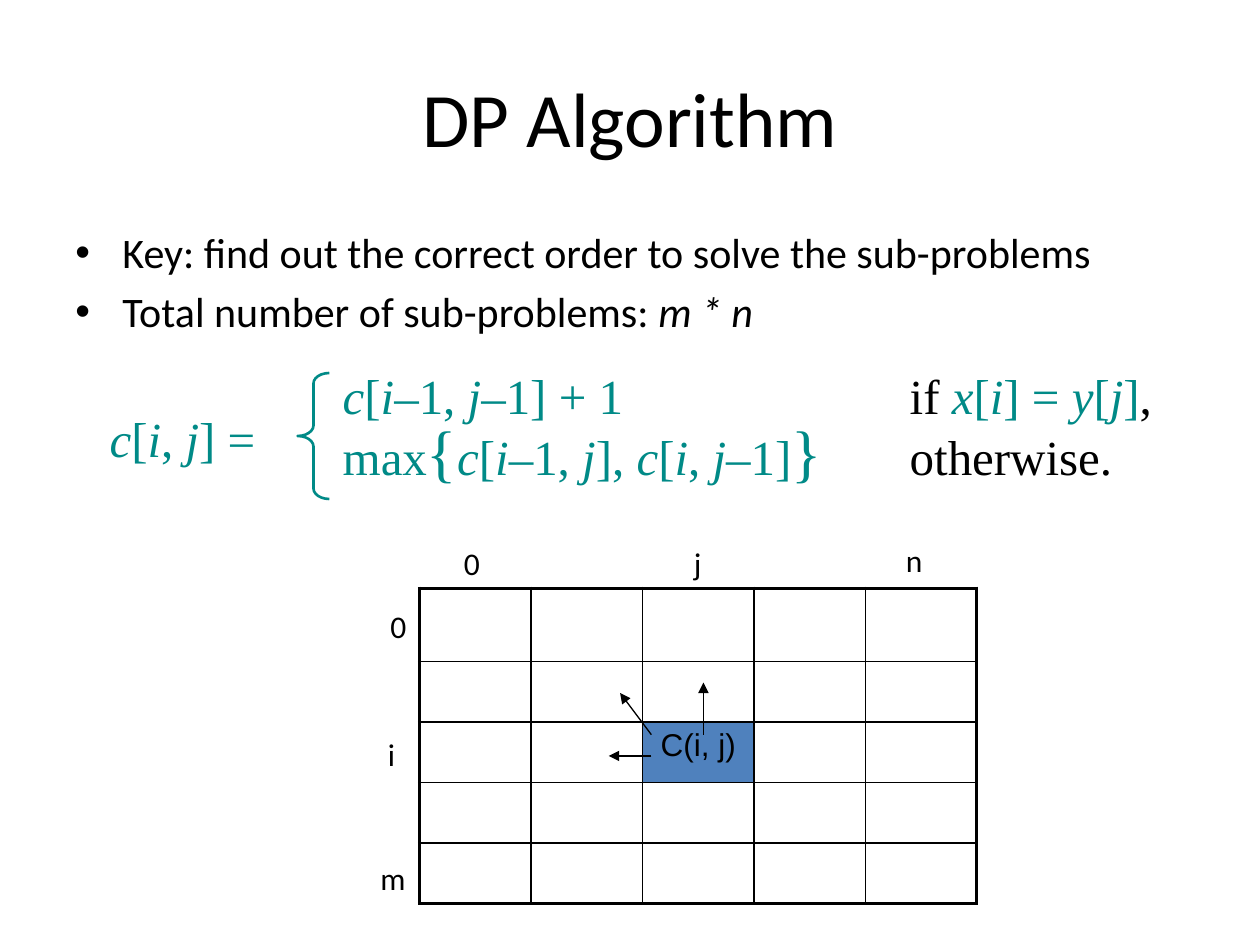
from dataclasses import dataclass
from itertools import groupby

from lxml import etree
from pptx import Presentation
from pptx import util as u
from pptx.dml.color import RGBColor
from pptx.enum import shapes, text
from pptx.oxml.ns import qn


@dataclass(frozen=True)
class Theme:
    ink: str = "000000"
    teal: str = "008A87"
    blue: str = "4F81BD"
    sans: str = "Calibri"
    serif: str = "Times New Roman"
    cell: str = "Arial"
    title: int = 44
    body: int = 24
    math: int = 28
    brace: int = 36
    label: int = 18


T = Theme()


def node(parent, tag, **attrs):
    """Append an XML child with the given attributes."""
    return etree.SubElement(parent, qn(tag), {k: str(v) for k, v in attrs.items()})


def add_run(para, words, font, size, color=T.ink, slant=False):
    run = para.add_run()
    run.text = words
    run.font.name, run.font.size = font, u.Pt(size)
    run.font.italic = slant
    run.font.color.rgb = RGBColor.from_string(color)


def add_box(parent, box, wrap=False):
    frame = parent.add_textbox(*map(u.Cm, box)).text_frame
    frame.word_wrap = wrap
    return frame


def add_math(para, words):
    """Teal formula text, with its variables in italics."""
    for slant, part in groupby(words, key=lambda ch: ch in "cijxy"):
        add_run(para, "".join(part), T.serif, T.math, T.teal, slant)


def add_title(slide, box):
    shape = slide.shapes.title
    shape.left, shape.top, shape.width, shape.height = map(u.Cm, box)
    frame = shape.text_frame
    frame.vertical_anchor = text.MSO_ANCHOR.MIDDLE
    para = frame.paragraphs[0]
    para.alignment = text.PP_ALIGN.CENTER
    add_run(para, "DP Algorithm", T.sans, T.title)


def add_points(slide, box):
    frame = add_box(slide.shapes, box, wrap=True)
    points = [
        [("Key: find out the correct order to solve the sub-problems", False)],
        [("Total number of sub-problems:", False), (" m * n", True)],
    ]
    for n, runs in enumerate(points):
        para = frame.add_paragraph() if n else frame.paragraphs[0]
        para.space_before = u.Pt(0.2 * T.body)
        props = para._p.get_or_add_pPr()
        props.set("marL", str(u.Cm(0.95)))
        props.set("indent", str(-u.Cm(0.95)))
        node(props, "a:buFont", typeface="Arial")
        node(props, "a:buChar", char="•")
        for words, slant in runs:
            add_run(para, words, T.sans, T.body, slant=slant)


def add_formula(slide, box):
    x, y, w, h = box
    group = slide.shapes.add_group_shape().shapes

    # Left-hand side
    left = add_box(group, (x, y + 0.69, 3.45, 1.45))
    add_math(left.paragraphs[0], "c[i, j] =")

    # Both cases, with the conditions on a tab stop
    cases = add_box(group, (x + 4.7, y, w - 4.7, h))
    first, second = cases.paragraphs[0], cases.add_paragraph()
    for para in (first, second):
        para.line_spacing = 0.85
        tabs = node(para._p.get_or_add_pPr(), "a:tabLst")
        node(tabs, "a:tab", pos=u.Cm(11.43), algn="l")
    add_math(first, "c[i–1, j–1] + 1")
    add_run(first, "\tif ", T.serif, T.math)
    add_math(first, "x[i] = y[j]")
    add_run(first, ",", T.serif, T.math)
    add_run(second, "max", T.serif, T.math, T.teal)
    add_run(second, "{", T.serif, T.brace, T.teal)
    add_math(second, "c[i–1, j], c[i, j–1]")
    add_run(second, "}", T.serif, T.brace, T.teal)
    add_run(second, "\totherwise.", T.serif, T.math)

    # Brace
    brace = group.add_shape(shapes.MSO_SHAPE.LEFT_BRACE,
                            *map(u.Cm, (x + 4.04, y + 0.1, 0.64, 2.54)))
    brace.adjustments[0], brace.adjustments[1] = 0.33, 0.5
    brace.shadow.inherit = False
    brace.fill.background()
    brace.line.color.rgb = RGBColor.from_string(T.teal)
    brace.line.width = u.Pt(1.5)


def add_edges(cell, outer):
    """Draw four cell borders, thicker on the outer sides."""
    props = cell._tc.get_or_add_tcPr()
    for side in "LRTB":
        width = u.Pt(2.25 if side in outer else 1)
        edge = node(props, f"a:ln{side}", w=width)
        node(node(edge, "a:solidFill"), "a:srgbClr", val=T.ink)


def add_grid(slide, box, size=5):
    x, y, w, h = box
    table = slide.shapes.add_table(size, size, *map(u.Cm, box)).table
    table.first_row = table.horz_banding = False
    head = 1.47
    for n in range(size):
        table.columns[n].width = u.Cm(w / size)
        table.rows[n].height = u.Cm((h - head) / (size - 1) if n else head)
    last = size - 1
    for r in range(size):
        for c in range(size):
            cell = table.cell(r, c)
            sides = {"L": c == 0, "R": c == last, "T": r == 0, "B": r == last}
            add_edges(cell, [side for side, on in sides.items() if on])
            cell.fill.background()

    # Current cell
    mid = table.cell(2, 2)
    mid.fill.solid()
    mid.fill.fore_color.rgb = RGBColor.from_string(T.blue)
    para = mid.text_frame.paragraphs[0]
    para.alignment = text.PP_ALIGN.CENTER
    para.space_before = u.Pt(0.2 * T.label)
    add_run(para, "C(i, j)", T.cell, T.label)

    # Arrows to the cells it depends on
    for x1, y1, x2, y2 in [(5.72, 2.95, 5.72, 1.9),
                           (4.67, 3.38, 3.81, 3.38),
                           (4.67, 2.95, 4.04, 2.11)]:
        ends = map(u.Cm, (x + x1, y + y1, x + x2, y + y2))
        arrow = slide.shapes.add_connector(shapes.MSO_CONNECTOR.STRAIGHT, *ends)
        arrow.line.color.rgb = RGBColor.from_string(T.ink)
        arrow.line.width = u.Pt(0.75)
        node(arrow.line._get_or_add_ln(), "a:tailEnd", type="triangle")
        node(arrow._element.spPr, "a:effectLst")

    # Row and column labels
    for words, dx, dy, wide in [("0", -0.84, 0.25, 0.86),
                                ("i", -0.89, 2.84, 0.66),
                                ("m", -1.04, 5.33, 1.04),
                                ("0", 0.64, -1.02, 0.86),
                                ("j", 5.28, -1.02, 0.66),
                                ("n", 9.55, -1.07, 0.86)]:
        frame = add_box(slide.shapes, (x + dx, y + dy, wide, 1.02))
        add_run(frame.paragraphs[0], words, T.sans, T.label)


def main():
    deck = Presentation()
    deck.slide_width, deck.slide_height = u.Cm(25.4), u.Cm(19.05)
    slide = deck.slides.add_slide(deck.slide_layouts[5])
    add_title(slide, (1.27, 0.76, 22.86, 3.18))
    add_points(slide, (1.27, 4.45, 22.86, 2.6))
    add_formula(slide, (1.96, 7.42, 21.54, 2.57))
    add_grid(slide, (8.46, 11.86, 11.23, 6.35))
    deck.save("out.pptx")


if __name__ == "__main__":
    main()
